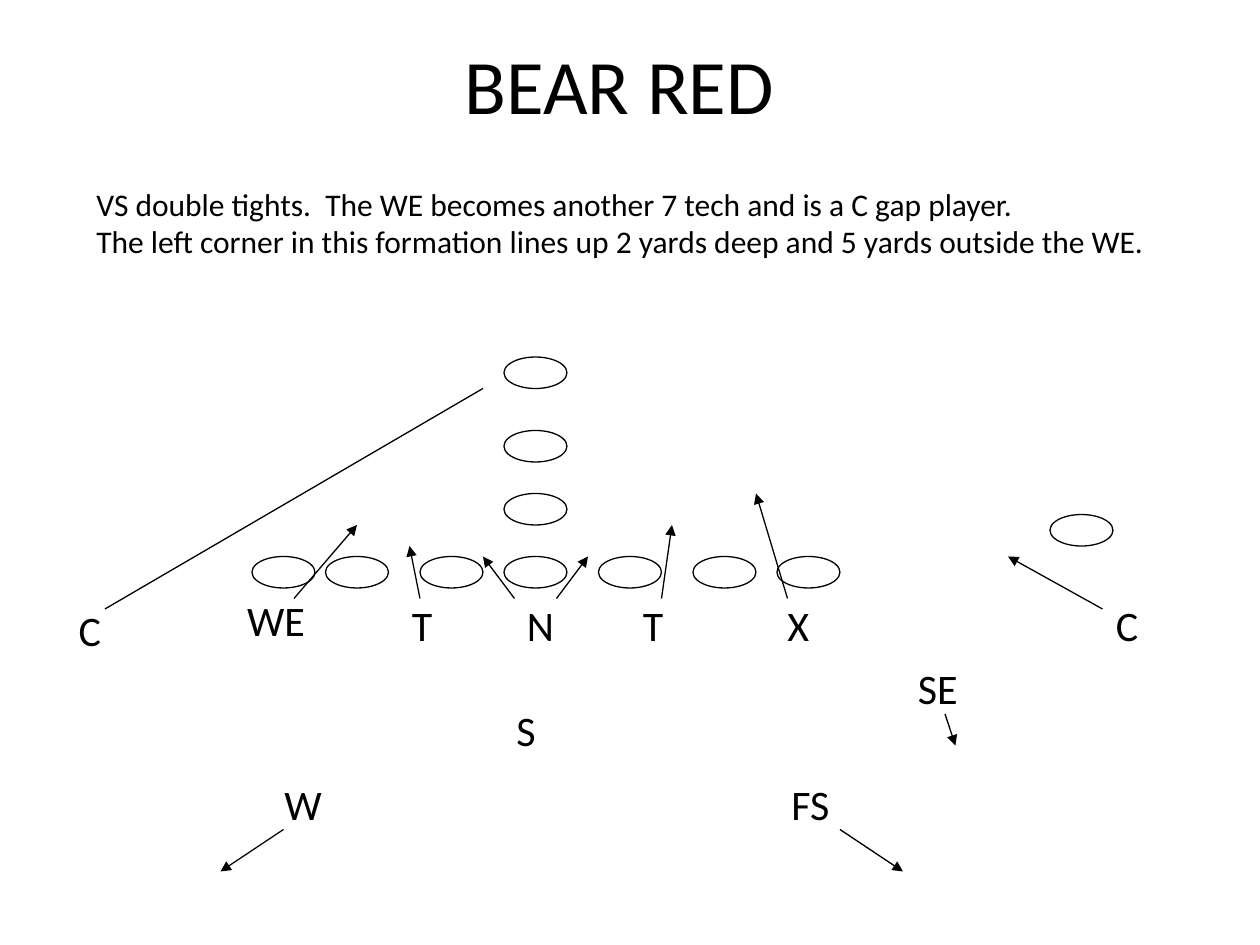
from dataclasses import dataclass
from typing import NamedTuple

from lxml import etree
from pptx import Presentation
from pptx import util as u
from pptx.dml.color import RGBColor
from pptx.enum import shapes, text
from pptx.oxml.ns import qn

COLUMNS, ROWS = 120, 90
SLIDE_WIDTH, SLIDE_HEIGHT = u.Inches(10), u.Inches(7.5)


@dataclass(frozen=True)
class Theme:
    ink: RGBColor = RGBColor(0, 0, 0)
    paper: RGBColor = RGBColor(255, 255, 255)
    font: str = "Calibri"
    title_size: int = 44
    note_size: int = 18
    player_size: int = 24
    line_width: float = 0.75


class Defender(NamedTuple):
    label: str
    column: float
    row: float
    width: float


class Move(NamedTuple):
    start: tuple[float, float]
    end: tuple[float, float]
    arrow: bool = True


THEME = Theme()
PLAYER_WIDTH, PLAYER_HEIGHT = 6, 3
LINE_ROW, CENTER_COLUMN = 53, 48
DEFENSE_ROW = 56.5

OFFENSE = [
    *((column, LINE_ROW) for column in (24, 31, 40, CENTER_COLUMN, 57, 66, 74)),
    *((CENTER_COLUMN, row) for row in (47, 41, 34)),
    (100, 49),
]

DEFENSE = [
    Defender("C", 6.3, 57, 4.6),
    Defender("WE", 22.35, 56, 7.9),
    Defender("T", 38.05, DEFENSE_ROW, 4.3),
    Defender("N", 49, DEFENSE_ROW, 4.9),
    Defender("T", 60.05, DEFENSE_ROW, 4.3),
    Defender("X", 73.8, DEFENSE_ROW, 4.4),
    Defender("C", 105.1, DEFENSE_ROW, 4.6),
    Defender("S", 48, 66.55, 4.2),
    Defender("SE", 86.25, 62.5, 6.2),
    Defender("W", 25.9, 73.55, 5.9),
    Defender("FS", 74.2, 73.55, 6),
]

MOVES = [
    Move((10, 58), (46, 37), arrow=False),
    Move((28, 57), (34, 50)),
    Move((40, 57), (39, 52)),
    Move((49, 57), (46, 53)),
    Move((53, 57), (56, 53)),
    Move((63, 57), (64, 50)),
    Move((75, 57), (72, 47)),
    Move((105, 58), (96, 53)),
    Move((90, 68), (91, 71)),
    Move((27, 79), (21, 83)),
    Move((80, 79), (86, 83)),
]


def across(columns: float) -> int:
    return round(SLIDE_WIDTH * columns / COLUMNS)


def down(rows: float) -> int:
    return round(SLIDE_HEIGHT * rows / ROWS)


def write(frame, *lines: str, size: int, align=text.PP_ALIGN.LEFT,
          wrap: bool = False, fit=text.MSO_AUTO_SIZE.SHAPE_TO_FIT_TEXT) -> None:
    frame.word_wrap = wrap
    frame.auto_size = fit
    frame.vertical_anchor = text.MSO_ANCHOR.TOP
    for index, line in enumerate(lines):
        paragraph = frame.add_paragraph() if index else frame.paragraphs[0]
        paragraph.alignment = align
        run = paragraph.add_run()
        run.text = line
        run.font.size = u.Pt(size)
        run.font.name = THEME.font
        run.font.color.rgb = THEME.ink


def outline(line) -> None:
    line.color.rgb = THEME.ink
    line.width = u.Pt(THEME.line_width)


def draw_offense(slide, column: float, row: float) -> None:
    player = slide.shapes.add_shape(
        shapes.MSO_SHAPE.OVAL, across(column), down(row),
        across(PLAYER_WIDTH), down(PLAYER_HEIGHT))
    player.shadow.inherit = False
    player.fill.solid()
    player.fill.fore_color.rgb = THEME.paper
    outline(player.line)


def draw_defender(slide, defender: Defender) -> None:
    box = slide.shapes.add_textbox(
        across(defender.column), down(defender.row), across(defender.width), down(6))
    write(box.text_frame, defender.label, size=THEME.player_size)


def draw_move(slide, move: Move) -> None:
    route = slide.shapes.add_connector(
        shapes.MSO_CONNECTOR.STRAIGHT, across(move.start[0]), down(move.start[1]),
        across(move.end[0]), down(move.end[1]))
    outline(route.line)
    properties = route._element.spPr
    if move.arrow:
        etree.SubElement(properties.find(qn("a:ln")), qn("a:tailEnd"), type="triangle")
    etree.SubElement(properties, qn("a:effectLst"))


def main() -> None:
    deck = Presentation()
    deck.slide_width, deck.slide_height = SLIDE_WIDTH, SLIDE_HEIGHT
    slide = deck.slides.add_slide(deck.slide_layouts.get_by_name("Title Only"))

    title = slide.shapes.title
    title.left, title.top = across(8), down(3)
    title.width, title.height = across(102), down(15)
    write(title.text_frame, "BEAR RED", size=THEME.title_size,
          align=text.PP_ALIGN.CENTER, wrap=True, fit=text.MSO_AUTO_SIZE.NONE)

    for column, row in OFFENSE:
        draw_offense(slide, column, row)
    for defender in DEFENSE:
        draw_defender(slide, defender)
    for move in MOVES:
        draw_move(slide, move)

    note = slide.shapes.add_textbox(across(8), down(17), across(102.5), down(12))
    write(note.text_frame,
          "VS double tights.  The WE becomes another 7 tech and is a C gap player.",
          "The left corner in this formation lines up 2 yards deep and 5 yards outside the WE.",
          size=THEME.note_size)
    deck.save("out.pptx")


if __name__ == "__main__":
    main()
